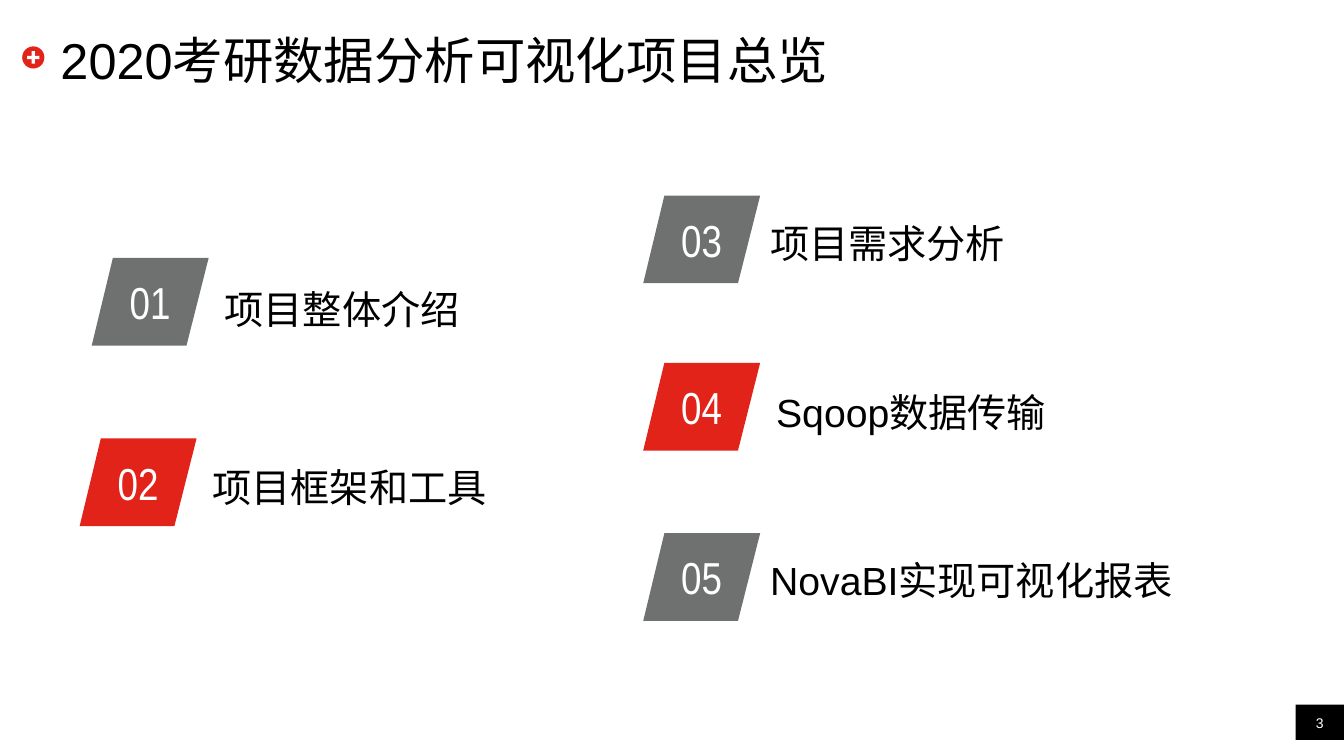
from lxml import etree
from pptx import Presentation
from pptx.dml.color import RGBColor
from pptx.enum.shapes import MSO_SHAPE
from pptx.enum.text import MSO_ANCHOR, PP_ALIGN
from pptx.oxml.ns import qn
from pptx.util import Inches, Pt

COLORS = {"red": "E2231A", "gray": "6F7170", "black": "000000", "white": "FFFFFF"}
EAST_ASIAN_FONT = "Noto Sans CJK SC"
TAG_WIDTH, TAG_HEIGHT = 1.16, 0.87
TOPICS = [
    ("01", "项目整体介绍", "gray", 0.91, 2.56, 1.22, 0.22, EAST_ASIAN_FONT),
    ("02", "项目框架和工具", "red", 0.79, 4.35, 1.22, 0.2, "Arial"),
    ("03", "项目需求分析", "gray", 6.38, 1.94, 1.16, 0.19, "Arial"),
    ("04", "Sqoop数据传输", "red", 6.38, 3.6, 1.22, 0.2, "Arial"),
    ("05", "NovaBI实现可视化报表", "gray", 6.38, 5.29, 1.16, 0.18, "Arial"),
]


def paint(shape, color):
    """Give a shape a plain fill without outline or shadow."""
    shape.shadow.inherit = False
    shape.fill.solid()
    shape.fill.fore_color.rgb = RGBColor.from_string(COLORS[color])
    shape.line.fill.background()


def write(shape, text, size, color="black", font="Arial", align=PP_ALIGN.LEFT,
          anchor=MSO_ANCHOR.MIDDLE):
    """Set the single line of text in a shape."""
    frame = shape.text_frame
    frame.word_wrap = True
    frame.vertical_anchor = anchor
    para = frame.paragraphs[0]
    para.text = text
    para.alignment = align
    span = para.runs[0]
    span.font.size = Pt(size)
    span.font.name = font
    span.font.color.rgb = RGBColor.from_string(COLORS[color])
    east_asian = etree.Element(qn("a:ea"), typeface=EAST_ASIAN_FONT)
    span.font._element.find(qn("a:latin")).addnext(east_asian)


def add_box(page, left, top, width, height, margins=True):
    """Add a text box, with or without inner margins."""
    box = page.shapes.add_textbox(Inches(left), Inches(top), Inches(width), Inches(height))
    if not margins:
        frame = box.text_frame
        frame.margin_left = frame.margin_right = 0
        frame.margin_top = frame.margin_bottom = 0
    return box


def add_badge(page, left, top, size):
    """Draw the red disc with a white plus in its middle."""
    inset = size * 0.22
    disc = page.shapes.add_shape(
        MSO_SHAPE.OVAL, Inches(left), Inches(top), Inches(size), Inches(size))
    paint(disc, "red")
    plus_size = Inches(size - 2 * inset)
    plus = page.shapes.add_shape(
        MSO_SHAPE.CROSS, Inches(left + inset), Inches(top + inset), plus_size, plus_size)
    plus.adjustments[0] = 0.37
    paint(plus, "white")


def add_header(page, left, top, width, height):
    """Place the badge and the title."""
    add_badge(page, left, top + 0.16, 0.22)
    title = add_box(page, left + 0.38, top, width - 0.38, height, margins=False)
    write(title, "2020考研数据分析可视化项目总览", 36)


def add_topic(page, left, top, number, label, color, label_shift, label_drop, font):
    """Place a slanted number tag and its label."""
    corners = [(TAG_WIDTH, 0), (TAG_WIDTH - 0.22, TAG_HEIGHT), (0, TAG_HEIGHT)]
    builder = page.shapes.build_freeform(Inches(left + 0.21), Inches(top))
    builder.add_line_segments([(Inches(left + x), Inches(top + y)) for x, y in corners])
    tag = builder.convert_to_shape()
    paint(tag, color)
    write(tag, number, 32, "white", "Arial Narrow", PP_ALIGN.CENTER)
    box = add_box(page, left + label_shift, top + label_drop, 5.4, 0.57)
    write(box, label, 28, font=font, anchor=MSO_ANCHOR.TOP)


def add_page_number(page, left, top, width, height):
    """Place the black corner block with the page number."""
    block = page.shapes.add_shape(
        MSO_SHAPE.RECTANGLE, Inches(left), Inches(top), Inches(width), Inches(height))
    paint(block, "black")
    number = add_box(page, left, top, width, height - 0.08, margins=False)
    write(number, "3", 10, "white", align=PP_ALIGN.CENTER, anchor=MSO_ANCHOR.BOTTOM)


def main():
    """Build and save the overview slide."""
    deck = Presentation()
    deck.slide_width, deck.slide_height = Inches(13.33), Inches(7.5)
    page = deck.slides.add_slide(deck.slide_layouts[6])
    add_page_number(page, 12.85, 6.99, 0.48, 0.35)
    add_header(page, 0.22, 0.3, 12.49, 0.57)
    for number, label, color, left, top, shift, drop, font in TOPICS:
        add_topic(page, left, top, number, label, color, shift, drop, font)
    deck.save("out.pptx")


if __name__ == "__main__":
    main()
